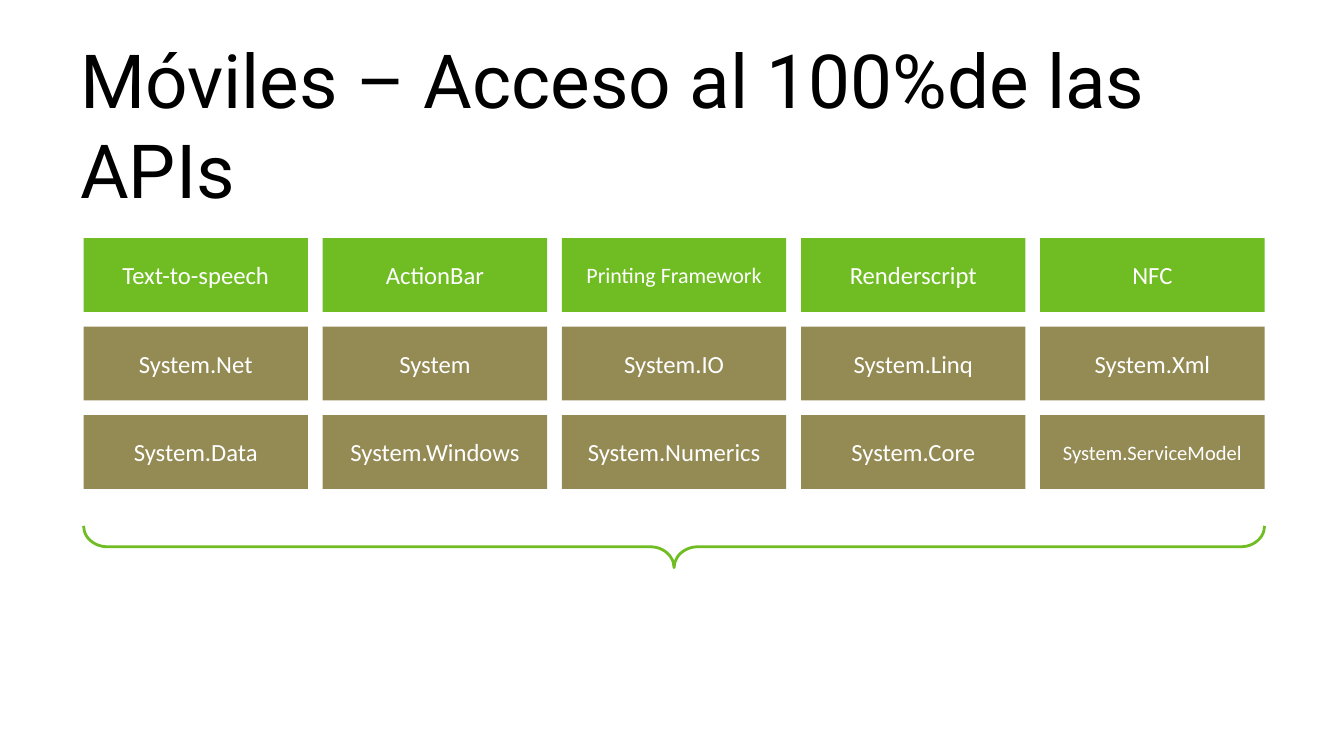
from collections import namedtuple

from pptx import Presentation
from pptx.dml.color import RGBColor
from pptx.enum.shapes import MSO_SHAPE
from pptx.enum.text import MSO_ANCHOR, PP_ALIGN
from pptx.util import Cm, Pt

BLACK = RGBColor(0x00, 0x00, 0x00)
WHITE = RGBColor(0xFF, 0xFF, 0xFF)
GREEN = RGBColor(0x6F, 0xBD, 0x23)
OLIVE = RGBColor(0x94, 0x8A, 0x54)

Box = namedtuple("Box", "left top width height")

TITLE_BOX = Box(Cm(1.27), Cm(1.14), Cm(22.86), Cm(2.39))
GRID_BOX = Box(Cm(1.58), Cm(4.5), Cm(22.32), Cm(4.74))
BRACE_BOX = Box(Cm(1.58), Cm(9.94), Cm(22.32), Cm(0.79))
GAP = Cm(0.28)

TITLE_FONT = {"name": "Roboto", "size": Pt(40)}
TILE_FONT = {"name": "Calibri", "size": Pt(13.2)}
SMALL_SIZES = {"Printing Framework": Pt(11.8), "System.ServiceModel": Pt(11)}

API_ROWS = [
    (GREEN, ["Text-to-speech", "ActionBar", "Printing Framework", "Renderscript", "NFC"]),
    (OLIVE, ["System.Net", "System", "System.IO", "System.Linq", "System.Xml"]),
    (OLIVE, ["System.Data", "System.Windows", "System.Numerics", "System.Core",
             "System.ServiceModel"]),
]


def write_text(shape, text, font, color, align):
    """Write one vertically centred paragraph into a shape."""
    frame = shape.text_frame
    frame.word_wrap = True
    frame.vertical_anchor = MSO_ANCHOR.MIDDLE
    para = frame.paragraphs[0]
    para.alignment = align
    span = para.add_run()
    span.text = text
    for name, value in font.items():
        setattr(span.font, name, value)
    span.font.color.rgb = color


def add_title(page, box):
    """Place the slide title."""
    title = page.shapes.add_textbox(*box)
    write_text(title, "Móviles – Acceso al 100%de las APIs", TITLE_FONT, BLACK, PP_ALIGN.LEFT)


def add_tile(page, box, text, fill):
    """Place one coloured API tile."""
    tile = page.shapes.add_shape(MSO_SHAPE.ROUNDED_RECTANGLE, *box)
    tile.adjustments[0] = 0
    tile.shadow.inherit = False
    tile.fill.solid()
    tile.fill.fore_color.rgb = fill
    tile.line.fill.background()
    font = TILE_FONT | {"size": SMALL_SIZES.get(text, TILE_FONT["size"])}
    write_text(tile, text, font, WHITE, PP_ALIGN.CENTER)


def add_api_grid(page, box):
    """Fill the box with equally spaced rows of tiles."""
    columns = len(API_ROWS[0][1])
    width = (box.width - GAP * (columns - 1)) // columns
    height = (box.height - GAP * (len(API_ROWS) - 1)) // len(API_ROWS)
    for row, (fill, names) in enumerate(API_ROWS):
        for column, name in enumerate(names):
            left = box.left + column * (width + GAP)
            top = box.top + row * (height + GAP)
            add_tile(page, Box(left, top, width, height), name, fill)


def add_brace(page, box):
    """Place a brace that spans the box and points down."""
    shift = (box.width - box.height) // 2
    brace = page.shapes.add_shape(
        MSO_SHAPE.LEFT_BRACE, box.left + shift, box.top - shift, box.height, box.width)
    brace.rotation = 270
    brace.adjustments[0] = 0.57
    brace.shadow.inherit = False
    brace.fill.background()
    brace.line.color.rgb = GREEN
    brace.line.width = Pt(1.5)


def main():
    """Build the deck and save it."""
    deck = Presentation()
    deck.slide_width = Cm(25.4)
    deck.slide_height = Cm(14.29)
    page = deck.slides.add_slide(deck.slide_layouts[6])
    add_title(page, TITLE_BOX)
    add_api_grid(page, GRID_BOX)
    add_brace(page, BRACE_BOX)
    deck.save("out.pptx")


if __name__ == "__main__":
    main()
